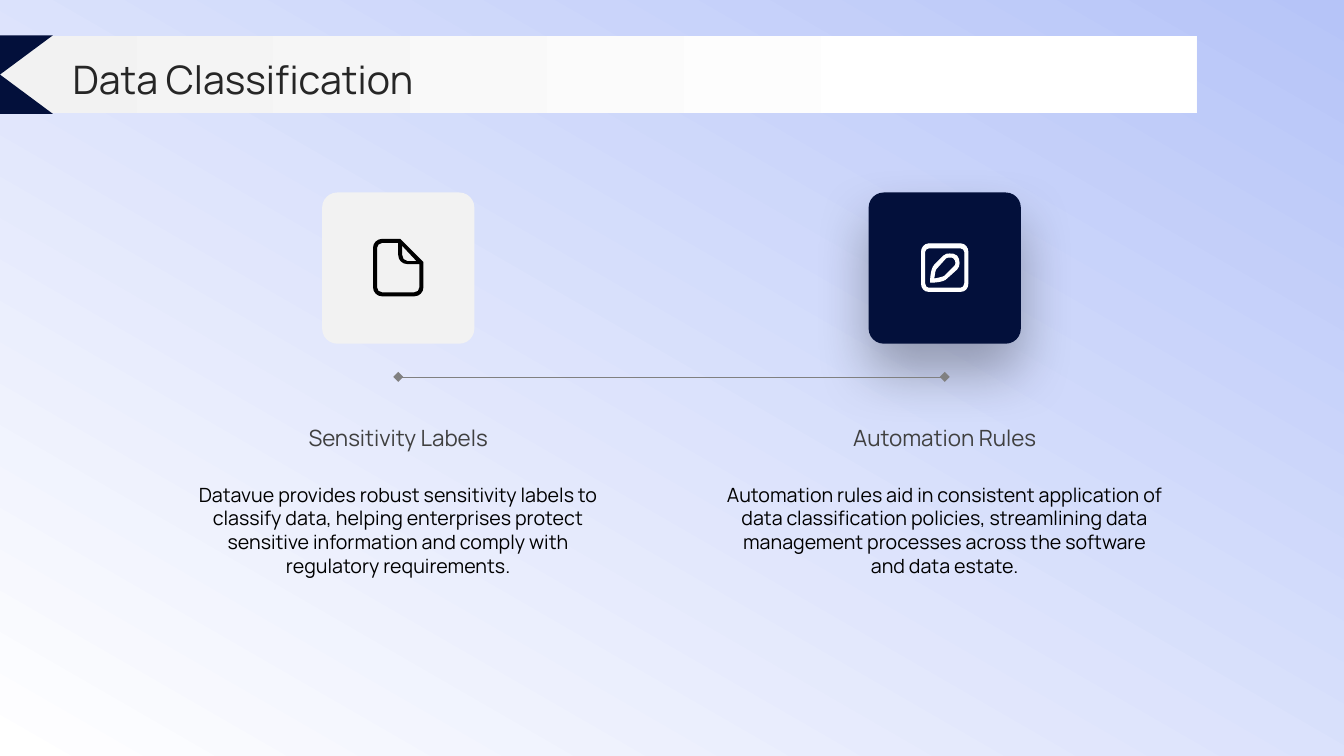
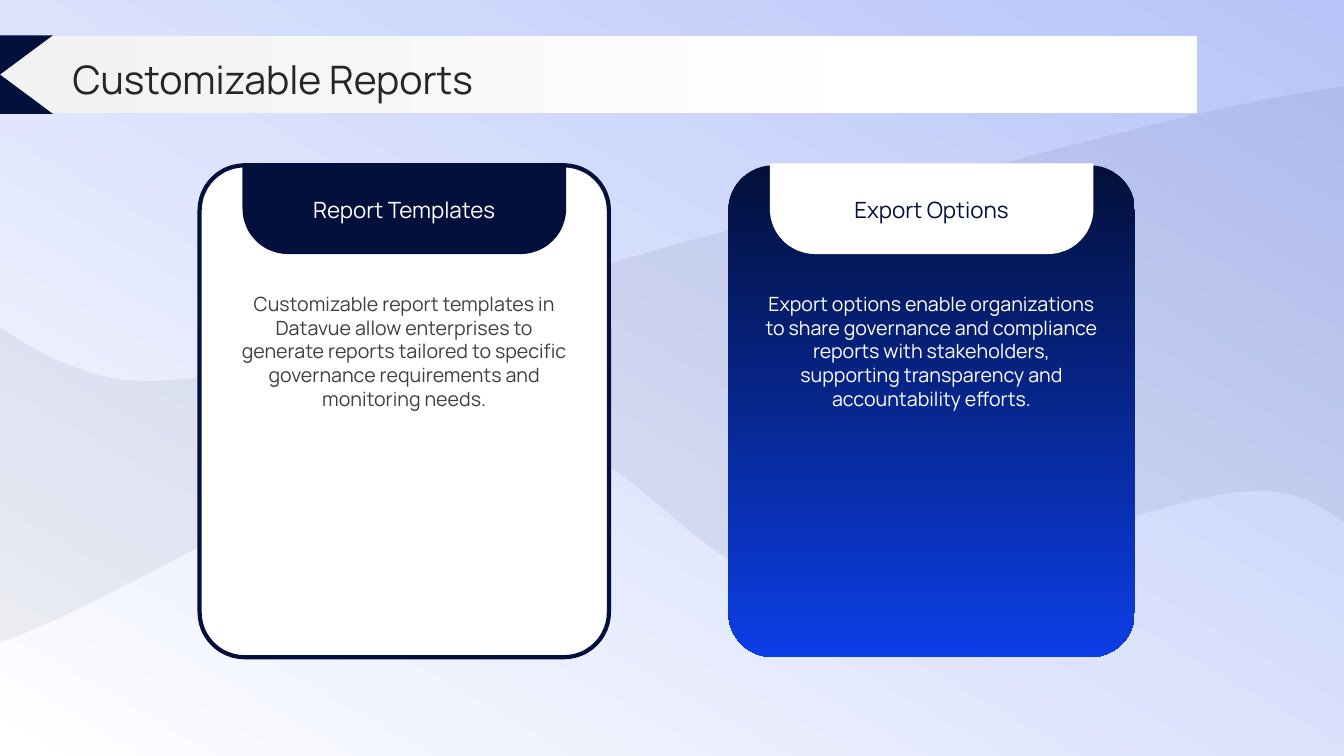
from dataclasses import dataclass
from typing import NamedTuple, Optional, Union

from lxml import etree
from pptx import Presentation
from pptx.dml.color import RGBColor
from pptx.enum.shapes import MSO_CONNECTOR, MSO_SHAPE
from pptx.enum.text import MSO_ANCHOR, PP_ALIGN
from pptx.oxml.ns import qn
from pptx.util import Inches, Pt

RECT = MSO_SHAPE.RECTANGLE
ROUND_RECT = MSO_SHAPE.ROUNDED_RECTANGLE
ROUND_TOP = MSO_SHAPE.ROUND_2_SAME_RECTANGLE
COLLATE = MSO_SHAPE.FLOWCHART_COLLATE
STRAIGHT = MSO_CONNECTOR.STRAIGHT
LEFT, CENTER = PP_ALIGN.LEFT, PP_ALIGN.CENTER
TOP, MIDDLE = MSO_ANCHOR.TOP, MSO_ANCHOR.MIDDLE


class Gradient(NamedTuple):
    start: str
    end: str
    angle: int
    start_pos: float = 0.0
    end_pos: float = 1.0


class Box(NamedTuple):
    x: float
    y: float
    w: float
    h: float


Fill = Union[str, Gradient]


@dataclass(frozen=True)
class Theme:
    font: str = "Manrope"
    title_size: int = 28
    heading_size: int = 16
    body_size: int = 14
    navy: str = "03103B"
    white: str = "FFFFFF"
    black: str = "000000"
    light: str = "F2F2F2"
    gray: str = "808080"
    dark_gray: str = "404040"
    title: str = "262626"
    backdrop: Gradient = Gradient("B6C4F8", "FFFFFF", 60)
    band: Gradient = Gradient("F2F2F2", "FFFFFF", 0, 0.0, 0.8)
    card: Gradient = Gradient("03103B", "0C3EE6", 90, 0.01, 1.0)


THEME = Theme()
WIDTH, HEIGHT = 13.33, 7.5

PAGE_ICON = (
    "M 3.97 2.37 L 3.79 2.37 C 3.74 2.37 3.7 2.41 3.7 2.46 L 3.7 2.85 "
    "C 3.7 2.9 3.74 2.94 3.79 2.94 L 4.11 2.94 C 4.16 2.94 4.2 2.9 4.2 2.85 "
    "L 4.2 2.6 L 3.98 2.38 "
    "M 3.99 2.53 L 3.99 2.44 L 4.13 2.59 L 4.04 2.59 C 4.01 2.59 3.99 2.56 3.99 2.53 "
    "M 4.16 2.85 C 4.16 2.88 4.14 2.9 4.11 2.9 L 3.79 2.9 "
    "C 3.76 2.9 3.74 2.88 3.74 2.85 L 3.74 2.46 C 3.74 2.44 3.76 2.41 3.79 2.41 "
    "L 3.95 2.41 L 3.95 2.53 C 3.95 2.58 3.99 2.62 4.04 2.62 L 4.16 2.62"
)
PENCIL_ICON = (
    "M 9.42 2.55 C 9.41 2.55 9.39 2.55 9.38 2.56 L 9.29 2.66 "
    "C 9.27 2.67 9.27 2.72 9.26 2.77 C 9.31 2.76 9.36 2.75 9.37 2.74 "
    "L 9.46 2.65 C 9.49 2.63 9.49 2.59 9.46 2.56 C 9.45 2.55 9.44 2.55 9.42 2.55 "
    "M 9.42 2.52 C 9.44 2.52 9.47 2.52 9.49 2.54 C 9.52 2.58 9.52 2.64 9.49 2.67 "
    "L 9.39 2.76 C 9.36 2.8 9.23 2.8 9.23 2.8 C 9.23 2.8 9.23 2.67 9.27 2.63 "
    "L 9.36 2.54 C 9.38 2.52 9.4 2.52 9.42 2.52 "
    "M 9.21 2.46 C 9.19 2.46 9.17 2.48 9.17 2.5 L 9.17 2.81 "
    "C 9.17 2.84 9.19 2.86 9.21 2.86 L 9.53 2.86 C 9.55 2.86 9.57 2.84 9.57 2.81 "
    "L 9.57 2.5 C 9.57 2.48 9.55 2.46 9.53 2.46 "
    "M 9.21 2.42 L 9.53 2.42 C 9.57 2.42 9.6 2.46 9.6 2.5 L 9.6 2.81 "
    "C 9.6 2.86 9.57 2.89 9.53 2.89 L 9.21 2.89 C 9.17 2.89 9.14 2.86 9.14 2.81 "
    "L 9.14 2.5 C 9.14 2.46 9.17 2.42 9.21 2.42"
)
WAVE = (
    "M 13.33 0.86 L 13.33 5.18 L 13.26 5.13 C 13.04 4.98 12.8 4.87 12.52 4.87 "
    "C 11.42 4.86 9.38 5.97 8.09 5.87 C 6.8 5.77 6.27 4.16 4.78 4.26 "
    "C 3.62 4.34 1.47 5.83 0.09 6.34 L 0 6.37 L 0 3.24 L 0.04 3.27 "
    "C 0.46 3.56 0.96 3.8 1.54 3.78 C 3.09 3.73 5.66 2.6 7.89 2.13 "
    "C 9.43 1.81 11.65 1.09 13.25 0.87"
)


@dataclass(frozen=True)
class Topic:
    center: float
    heading: str
    body: str
    tile_fill: str
    icon: str
    icon_fill: str
    icon_line: Optional[str] = None
    raised: bool = False


@dataclass(frozen=True)
class Card:
    center: float
    width: float
    heading: str
    body: str
    fill: Fill
    tab_fill: str
    heading_color: str
    body_color: str
    border: Optional[str] = None


TOPICS = (
    Topic(3.95, "Sensitivity Labels",
          "Datavue provides robust sensitivity labels to classify data, helping "
          "enterprises protect sensitive information and comply with regulatory "
          "requirements.",
          THEME.light, PAGE_ICON, THEME.black),
    Topic(9.37, "Automation Rules",
          "Automation rules aid in consistent application of data classification "
          "policies, streamlining data management processes across the software "
          "and data estate.",
          THEME.navy, PENCIL_ICON, THEME.white, THEME.white, True),
)
CARDS = (
    Card(4.01, 4.06, "Report Templates",
         "Customizable report templates in Datavue allow enterprises to generate "
         "reports tailored to specific governance requirements and monitoring needs.",
         THEME.white, THEME.navy, THEME.white, THEME.dark_gray, THEME.navy),
    Card(9.24, 4.03, "Export Options",
         "Export options enable organizations to share governance and compliance "
         "reports with stakeholders, supporting transparency and accountability "
         "efforts.",
         THEME.card, THEME.white, THEME.navy, THEME.white),
)


def rgb(color: str) -> RGBColor:
    return RGBColor.from_string(color)


def centered(center: float, y: float, w: float, h: float) -> Box:
    return Box(center - w / 2, y, w, h)


def paint(sp, fill: Fill, line: Optional[str] = None, width: float = 0.75) -> None:
    sp.shadow.inherit = False
    if isinstance(fill, Gradient):
        sp.fill.gradient()
        sp.fill.gradient_angle = (360 - fill.angle) % 360
        first, last = sp.fill.gradient_stops
        first.color.rgb, first.position = rgb(fill.start), fill.start_pos
        last.color.rgb, last.position = rgb(fill.end), fill.end_pos
    else:
        sp.fill.solid()
        sp.fill.fore_color.rgb = rgb(fill)
    if line:
        sp.line.color.rgb = rgb(line)
        sp.line.width = Pt(width)
    else:
        sp.line.fill.background()


def add_preset(s, kind, box: Box, fill: Fill, line: Optional[str] = None,
               width: float = 0.75, adj: tuple = ()):
    sp = s.shapes.add_shape(kind, *map(Inches, box))
    for i, value in enumerate(adj):
        sp.adjustments[i] = value
    paint(sp, fill, line, width)
    return sp


def add_text(s, box: Box, text: str, size: int, color: str,
             align=CENTER, anchor=TOP) -> None:
    tf = s.shapes.add_textbox(*map(Inches, box)).text_frame
    tf.word_wrap = True
    tf.vertical_anchor = anchor
    tf.margin_left = tf.margin_right = tf.margin_top = tf.margin_bottom = 0
    p = tf.paragraphs[0]
    p.alignment = align
    r = p.add_run()
    r.text = text
    r.font.name = THEME.font
    r.font.size = Pt(size)
    r.font.color.rgb = rgb(color)


def segments(outline: str) -> list:
    result = []
    tokens = iter(outline.split())
    for command in tokens:
        count = 3 if command == "C" else 1
        points = [(Inches(float(next(tokens))), Inches(float(next(tokens))))
                  for _ in range(count)]
        result.append((command, points))
    return result


def bend_curves(sp, commands: list) -> None:
    path_tag = next(sp._element.iter(qn("a:path")))
    nodes = iter([node for node in path_tag if node.tag != qn("a:close")])
    for command, points in commands:
        group = [next(nodes) for _ in points]
        if command == "C":
            curve = etree.Element(qn("a:cubicBezTo"))
            group[0].addprevious(curve)
            for node in group:
                curve.append(node[0])
                path_tag.remove(node)


def add_outline(s, outline: str, fill: str, line: Optional[str] = None):
    commands = segments(outline)
    contours = []
    for command, points in commands:
        if command == "M":
            contours.append(list(points))
        else:
            contours[-1] += points
    builder = s.shapes.build_freeform(*contours[0][0], scale=1.0)
    for i, contour in enumerate(contours):
        if i:
            builder.move_to(*contour[0])
        builder.add_line_segments(contour[1:], close=True)
    sp = builder.convert_to_shape()
    bend_curves(sp, commands)
    paint(sp, fill, line)
    return sp


def set_alpha(parent, percent: int) -> None:
    color = next(parent.iter(qn("a:srgbClr")))
    etree.SubElement(color, qn("a:alpha")).set("val", str(percent * 1000))


def add_shadow(sp) -> None:
    effects = sp._element.spPr.find(qn("a:effectLst"))
    shadow = etree.SubElement(effects, qn("a:outerShdw"), blurRad=str(Pt(40)),
                              dist=str(Pt(20)), dir="5400000", rotWithShape="0")
    etree.SubElement(shadow, qn("a:srgbClr"), val=THEME.black)
    set_alpha(shadow, 30)


def add_slide(prs):
    s = prs.slides.add_slide(prs.slide_layouts[6])
    sp = add_preset(s, RECT, Box(0, 0, WIDTH, HEIGHT), THEME.backdrop)
    sp._element.spPr.find(qn("a:xfrm")).set("flipH", "1")
    return s


def add_title(s, title: str) -> None:
    add_preset(s, RECT, Box(0, 0.36, 11.87, 0.76), THEME.band)
    add_preset(s, COLLATE, centered(0, 0.35, 1.05, 0.78), THEME.navy)
    add_text(s, Box(0.72, 0.53, 11.88, 0.51), title, THEME.title_size,
             THEME.title, LEFT, MIDDLE)


def add_timeline(s, centers: list, y: float) -> None:
    line = s.shapes.add_connector(STRAIGHT, Inches(centers[0]), Inches(y),
                                  Inches(centers[-1]), Inches(y))
    line.line.color.rgb = rgb(THEME.gray)
    line.line.width = Pt(0.5)
    etree.SubElement(line._element.spPr, qn("a:effectLst"))
    size = 0.07
    for center in centers:
        marker = add_preset(s, RECT, centered(center, y - size / 2, size, size), THEME.gray)
        marker.rotation = 45


def add_topic(s, topic: Topic) -> None:
    tile = add_preset(s, ROUND_RECT, centered(topic.center, 1.91, 1.51, 1.5),
                      topic.tile_fill, adj=(0.1,))
    if topic.raised:
        add_shadow(tile)
    add_outline(s, topic.icon, topic.icon_fill, topic.icon_line)
    add_text(s, centered(topic.center, 3.94, 4.33, 0.8), topic.heading,
             THEME.heading_size, THEME.dark_gray, anchor=MIDDLE)
    add_text(s, centered(topic.center, 4.79, 4.33, 1.57), topic.body,
             THEME.body_size, THEME.black)


def add_card(s, card: Card) -> None:
    add_preset(s, ROUND_RECT, centered(card.center, 1.64, card.width, 4.88), card.fill,
               card.border, 3, adj=(0.11,))
    tab = add_preset(s, ROUND_TOP, centered(card.center, 1.62, 3.21, 0.9),
                     card.tab_fill, adj=(0.5, 0))
    tab.rotation = 180
    add_text(s, centered(card.center, 1.68, 2.9, 0.79), card.heading,
             THEME.heading_size, card.heading_color, anchor=MIDDLE)
    add_text(s, centered(card.center, 2.9, 3.33, 3.42), card.body,
             THEME.body_size, card.body_color)


def main() -> None:
    prs = Presentation()
    prs.slide_width, prs.slide_height = Inches(WIDTH), Inches(HEIGHT)

    s = add_slide(prs)
    for topic in TOPICS:
        add_topic(s, topic)
    add_timeline(s, [topic.center for topic in TOPICS], 3.74)
    add_title(s, "Data Classification")

    s = add_slide(prs)
    set_alpha(add_outline(s, WAVE, THEME.navy)._element.spPr, 6)
    for card in CARDS:
        add_card(s, card)
    add_title(s, "Customizable Reports")

    prs.save("out.pptx")


if __name__ == "__main__":
    main()
